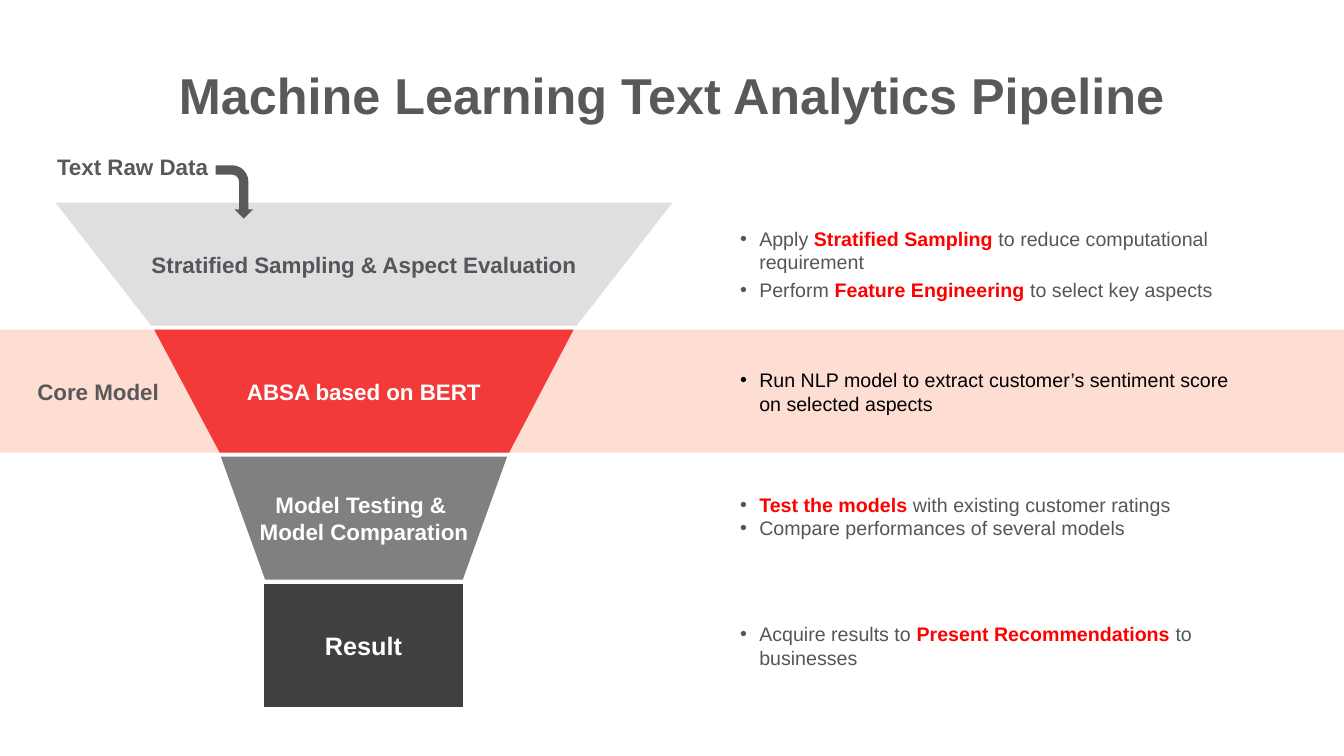
from dataclasses import dataclass

from lxml import etree
from pptx import Presentation
from pptx.dml.color import RGBColor
from pptx.enum.shapes import MSO_SHAPE
from pptx.enum.text import MSO_ANCHOR, MSO_AUTO_SIZE, PP_ALIGN
from pptx.oxml.ns import qn
from pptx.util import Pt

RECT, BENT_ARROW = MSO_SHAPE.RECTANGLE, MSO_SHAPE.BENT_ARROW
TOP, MIDDLE = MSO_ANCHOR.TOP, MSO_ANCHOR.MIDDLE
LEFT, CENTER = PP_ALIGN.LEFT, PP_ALIGN.CENTER
NO_FIT = MSO_AUTO_SIZE.NONE

PX = 9144
SLIDE_W, SLIDE_H = 1333, 750
STAGE_TOP, STAGE_H, STAGE_PITCH = 201, 122, 126
LIST_X, LIST_W, LIST_INDENT = 724, 527, 19
FONT = "Arial"
COMPARISON_LAYOUT = 4

COLORS = {
    "band": "FEDDD3",
    "heading": "595959",
    "body": "53565A",
    "highlight": "FF0000",
    "black": "000000",
    "white": "FFFFFF",
    "light": "DFDFDF",
    "red": "F43939",
    "gray": "808080",
    "dark": "404040",
}


@dataclass
class Stage:
    text: str
    top_edge: tuple[int, int]
    bottom_edge: tuple[int, int]
    fill: str
    color: str = "white"
    size: int = 16


@dataclass
class BulletList:
    y: int
    h: int
    items: list[str]
    color: str = "body"
    gap: float = 0


@dataclass
class Label:
    text: str
    box: tuple[int, int, int, int]
    inset: tuple[int, int]
    anchor: MSO_ANCHOR
    align: PP_ALIGN


STAGES = [
    Stage("Stratified Sampling & Aspect Evaluation", (55, 667), (150, 572), "light", "body"),
    Stage("ABSA based on BERT", (153, 569), (218, 505), "red"),
    Stage("Model Testing & \nModel Comparation", (219, 503), (263, 459), "gray"),
    Stage("Result", (262, 459), (262, 459), "dark", size=18),
]

LISTS = [
    BulletList(187, 150, [
        "Apply *Stratified Sampling* to reduce computational requirement",
        "Perform *Feature Engineering* to select key aspects",
    ], gap=2.8),
    BulletList(339, 99, [
        "Run NLP model to extract customer’s sentiment score on selected aspects",
    ], color="black"),
    BulletList(453, 118, [
        "*Test the models* with existing customer ratings",
        "Compare performances of several models",
    ]),
    BulletList(585, 111, ["Acquire results to *Present Recommendations* to businesses"]),
]

LABELS = [
    Label("Text Raw Data", (40, 147, 183, 37), (10, 5), TOP, CENTER),
    Label("Core Model", (31, 369, 138, 38), (6, 6), MIDDLE, LEFT),
]


def rgb(name: str) -> RGBColor:
    return RGBColor.from_string(COLORS[name])


def place(sp, x: int, y: int, w: int, h: int) -> None:
    sp.left, sp.top, sp.width, sp.height = (v * PX for v in (x, y, w, h))


def paint(sp, fill: str) -> None:
    sp.shadow.inherit = False
    sp.fill.solid()
    sp.fill.fore_color.rgb = rgb(fill)
    sp.line.fill.background()


def set_frame(tf, inset: tuple[int, int], anchor: MSO_ANCHOR) -> None:
    tf.word_wrap = True
    tf.auto_size = NO_FIT
    tf.vertical_anchor = anchor
    tf.margin_left = tf.margin_right = inset[0] * PX
    tf.margin_top = tf.margin_bottom = inset[1] * PX


def format_run(r, size: int, color: str, bold: bool) -> None:
    r.font.name = FONT
    r.font.size = Pt(size)
    r.font.bold = bold
    r.font.color.rgb = rgb(color)


def set_bold_text(tf, text: str, size: int, color: str, align: PP_ALIGN) -> None:
    tf.text = text
    for p in tf.paragraphs:
        p.alignment = align
        for r in p.runs:
            format_run(r, size, color, True)


def add_bullet(p, color: str) -> None:
    pPr = p._p.get_or_add_pPr()
    pPr.set("marL", str(LIST_INDENT * PX))
    pPr.set("indent", str(-LIST_INDENT * PX))
    clr = etree.SubElement(pPr, qn("a:buClr"))
    etree.SubElement(clr, qn("a:srgbClr")).set("val", COLORS[color])
    etree.SubElement(pPr, qn("a:buFont")).set("typeface", FONT)
    etree.SubElement(pPr, qn("a:buChar")).set("char", "•")


def draw_stage(s, index: int, stage: Stage) -> None:
    y = STAGE_TOP + index * STAGE_PITCH
    (x1, x2), (x3, x4) = stage.top_edge, stage.bottom_edge
    builder = s.shapes.build_freeform(x1, y, scale=PX)
    builder.add_line_segments([(x3, y + STAGE_H), (x4, y + STAGE_H), (x2, y)])
    sp = builder.convert_to_shape()
    paint(sp, stage.fill)
    set_frame(sp.text_frame, (0, 0), MIDDLE)
    set_bold_text(sp.text_frame, stage.text, stage.size, stage.color, CENTER)


def fill_list(sp, bullets: BulletList) -> None:
    place(sp, LIST_X, bullets.y, LIST_W, bullets.h)
    tf = sp.text_frame
    set_frame(tf, (10, 5), MIDDLE)
    for i, item in enumerate(bullets.items):
        p = tf.add_paragraph() if i else tf.paragraphs[0]
        add_bullet(p, bullets.color)
        p.alignment = LEFT
        p.line_spacing = 1.0
        p.space_before = Pt(bullets.gap if i else 0)
        p.space_after = Pt(0)
        for j, part in enumerate(item.split("*")):
            if part:
                r = p.add_run()
                r.text = part
                marked = j % 2 == 1
                format_run(r, 14, "highlight" if marked else bullets.color, marked)


def draw_label(s, label: Label) -> None:
    sp = s.shapes.add_textbox(*(v * PX for v in label.box))
    set_frame(sp.text_frame, label.inset, label.anchor)
    set_bold_text(sp.text_frame, label.text, 16, "heading", label.align)


def main() -> None:
    prs = Presentation()
    prs.slide_width, prs.slide_height = SLIDE_W * PX, SLIDE_H * PX
    s = prs.slides.add_slide(prs.slide_layouts[COMPARISON_LAYOUT])

    title, *bodies = s.placeholders
    place(title, 169, 59, 995, 71)
    set_frame(title.text_frame, (5, 5), TOP)
    set_bold_text(title.text_frame, "Machine Learning Text Analytics Pipeline", 36, "heading", CENTER)
    for sp, bullets in zip(bodies, LISTS):
        fill_list(sp, bullets)

    band = s.shapes.add_shape(RECT, 0, 0, PX, PX)
    place(band, 0, STAGE_TOP + STAGE_PITCH, SLIDE_W, STAGE_H)
    paint(band, "band")
    band._element.getparent().insert(2, band._element)

    for i, stage in enumerate(STAGES):
        draw_stage(s, i, stage)
    for label in LABELS:
        draw_label(s, label)

    arrow = s.shapes.add_shape(BENT_ARROW, 0, 0, PX, PX)
    place(arrow, 206, 172, 53, 37)
    arrow.rotation = 90
    paint(arrow, "heading")

    prs.save("out.pptx")


if __name__ == "__main__":
    main()
